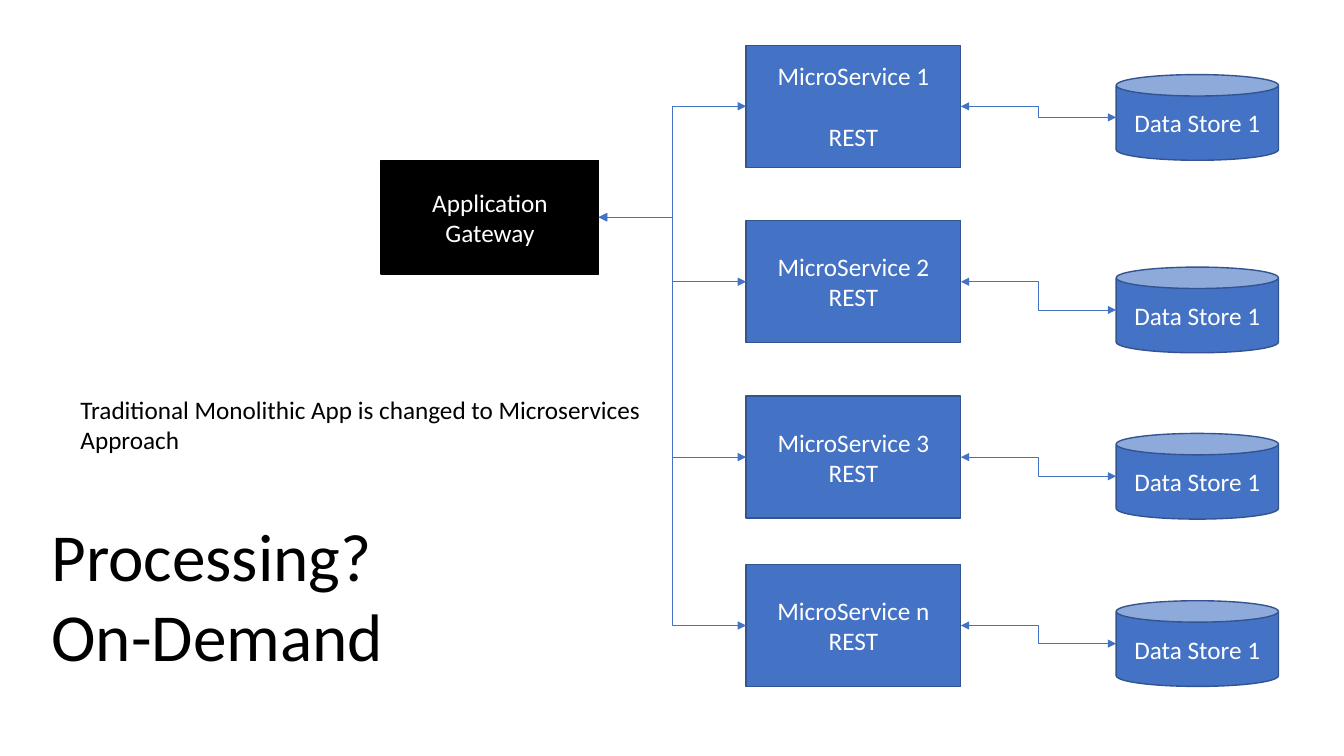
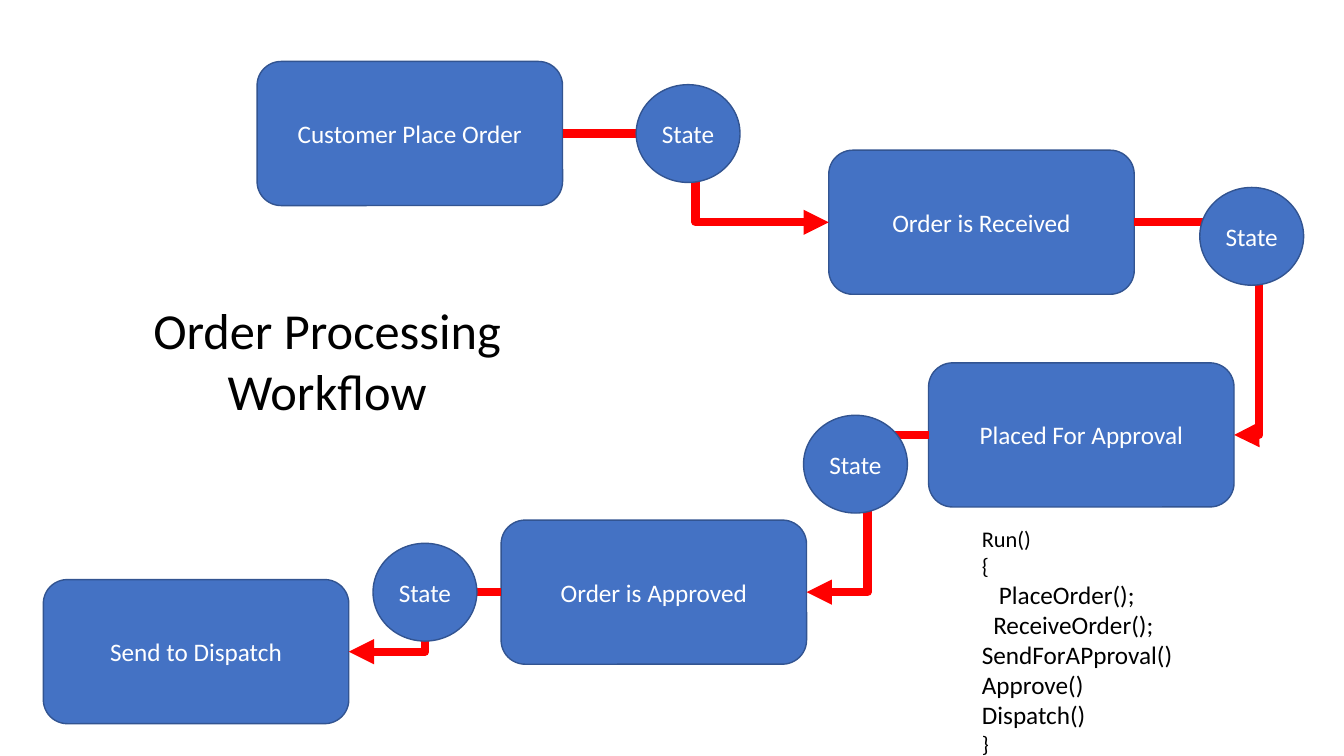
from dataclasses import dataclass

from lxml import etree
from pptx import Presentation
from pptx.dml.color import RGBColor
from pptx.enum import shapes, text
from pptx.oxml import ns
from pptx.util import Inches, Pt


@dataclass(frozen=True)
class Theme:
    font: str = "Calibri"
    blue: RGBColor = RGBColor(0x44, 0x72, 0xC4)
    outline: RGBColor = RGBColor(0x32, 0x54, 0x91)
    red: RGBColor = RGBColor(0xFF, 0, 0)
    black: RGBColor = RGBColor(0, 0, 0)
    white: RGBColor = RGBColor(0xFF, 0xFF, 0xFF)
    body: int = 18
    code: int = 16
    title: int = 36
    large_title: int = 48


THEME = Theme()
SHAPE = shapes.MSO_SHAPE
LEFT, CENTER = text.PP_ALIGN.LEFT, text.PP_ALIGN.CENTER
TOP, MIDDLE = text.MSO_ANCHOR.TOP, text.MSO_ANCHOR.MIDDLE

# Connection sites
LEFT_SITE, RIGHT_SITE, CAN_LEFT_SITE = 1, 3, 2


# Text
def write(shape, lines, size, color, align=LEFT, anchor=TOP):
    frame = shape.text_frame
    frame.word_wrap = True
    frame.auto_size = text.MSO_AUTO_SIZE.NONE
    frame.vertical_anchor = anchor
    frame.text = "\n".join(lines)
    for paragraph in frame.paragraphs:
        paragraph.alignment = align
        paragraph.font.name = THEME.font
        paragraph.font.size = Pt(size)
        paragraph.font.color.rgb = color
    return frame.paragraphs


def add_text(slide, box, lines, size):
    shape = slide.shapes.add_textbox(*map(Inches, box))
    return write(shape, lines, size, THEME.black)


def set_title(slide, box, lines, size, align=LEFT):
    title = slide.shapes.title
    title.left, title.top, title.width, title.height = map(Inches, box)
    write(title, lines, size, THEME.black, align)


# Shapes
def add_node(slide, kind, box, *lines, fill=THEME.blue, outline=THEME.outline):
    shape = slide.shapes.add_shape(kind, *map(Inches, box))
    shape.shadow.inherit = False
    shape.fill.solid()
    shape.fill.fore_color.rgb = fill
    shape.line.color.rgb = outline
    shape.line.width = Pt(1)
    write(shape, lines, THEME.body, THEME.white, CENTER, MIDDLE)
    return shape


# Elbow connectors
def add_elbow(slide, source, target, color, width, start=RIGHT_SITE,
              end=LEFT_SITE, both_ends=False, bend=None):
    elbow = slide.shapes.add_connector(shapes.MSO_CONNECTOR.ELBOW, 0, 0, 0, 0)
    elbow.begin_connect(source, start)
    elbow.end_connect(target, end)
    elbow.end_x = target.left + (target.width if end == RIGHT_SITE else 0)
    elbow.end_y = target.top + target.height // 2
    elbow.line.color.rgb = color
    elbow.line.width = Pt(width)

    properties = elbow._element.spPr
    line = properties.find(ns.qn("a:ln"))
    for tag in ("a:headEnd", "a:tailEnd")[0 if both_ends else 1:]:
        etree.SubElement(line, ns.qn(tag), type="triangle")
    etree.SubElement(properties, ns.qn("a:effectLst"))
    if bend is not None:
        geometry = properties.find(ns.qn("a:prstGeom"))
        guides = geometry.find(ns.qn("a:avLst"))
        if guides is None:
            guides = etree.SubElement(geometry, ns.qn("a:avLst"))
        etree.SubElement(guides, ns.qn("a:gd"), name="adj1",
                         fmla=f"val {round(bend * 100000)}")


def new_slide(presentation):
    return presentation.slides.add_slide(presentation.slide_layouts[5])


def build_microservices(presentation):
    slide = new_slide(presentation)
    set_title(slide, (0.41, 5.05, 5.17, 1.72), ["Processing?", "On-Demand"],
              THEME.large_title)
    add_text(slide, (0.7, 3.86, 6.16, 0.71),
             ["Traditional Monolithic App is changed to Microservices Approach"],
             THEME.body)
    gateway = add_node(slide, SHAPE.RECTANGLE, (3.78, 1.59, 2.16, 1.13),
                       "Application Gateway",
                       fill=THEME.black, outline=THEME.black)

    # One row per service: label, service top, data store top
    rows = [("1", 0.45, 0.74), ("2", 2.19, 2.65),
            ("3", 3.93, 4.3), ("n", 5.6, 5.96)]
    for label, service_top, store_top in rows:
        service = add_node(slide, SHAPE.RECTANGLE,
                           (7.4, service_top, 2.13, 1.21),
                           f"MicroService {label}", "REST")
        if label == "1":
            service.text_frame.paragraphs[1].space_before = Pt(22)
        store = add_node(slide, SHAPE.CAN, (11.07, store_top, 1.61, 0.85),
                         "Data Store 1")
        add_elbow(slide, gateway, service, THEME.blue, 0.5, both_ends=True)
        add_elbow(slide, service, store, THEME.blue, 0.5,
                  end=CAN_LEFT_SITE, both_ends=True)


def build_workflow(presentation):
    slide = new_slide(presentation)
    set_title(slide, (1.37, 2.92, 3.75, 1.31), ["Order Processing Workflow"],
              THEME.title, CENTER)

    # Steps
    steps = [("Customer Place Order", 2.55, 0.61),
             ("Order is Received", 8.22, 1.49),
             ("Placed For Approval", 9.21, 3.6),
             ("Order is Approved", 4.97, 5.16),
             ("Send to Dispatch", 0.43, 5.75)]
    nodes = [add_node(slide, SHAPE.ROUNDED_RECTANGLE, (left, top, 3.03, 1.43),
                      label)
             for label, left, top in steps]

    # Transitions: start site, end site, bend position
    transitions = [(RIGHT_SITE, LEFT_SITE, None),
                   (RIGHT_SITE, RIGHT_SITE, 1.25),
                   (LEFT_SITE, RIGHT_SITE, None),
                   (LEFT_SITE, RIGHT_SITE, None)]
    for source, target, (start, end, bend) in zip(nodes, nodes[1:], transitions):
        add_elbow(slide, source, target, THEME.red, 6, start, end, bend=bend)

    # States on the transitions
    for left, top in [(6.31, 0.84), (11.9, 1.86), (7.97, 4.12), (3.7, 5.39)]:
        add_node(slide, SHAPE.OVAL, (left, top, 1.03, 0.97), "State")

    # Code
    code = ["Run()", "{", "   PlaceOrder();", "  ReceiveOrder();",
            "SendForAPproval()", "Approve()", "Dispatch()", "}"]
    paragraphs = add_text(slide, (9.64, 5.16, 3.61, 2.42), code, THEME.body)
    for index in (0, 1, -1):
        paragraphs[index].font.size = Pt(THEME.code)


def main():
    presentation = Presentation()
    presentation.slide_width = Inches(13.33)
    presentation.slide_height = Inches(7.5)
    build_microservices(presentation)
    build_workflow(presentation)
    presentation.save("out.pptx")


if __name__ == "__main__":
    main()
